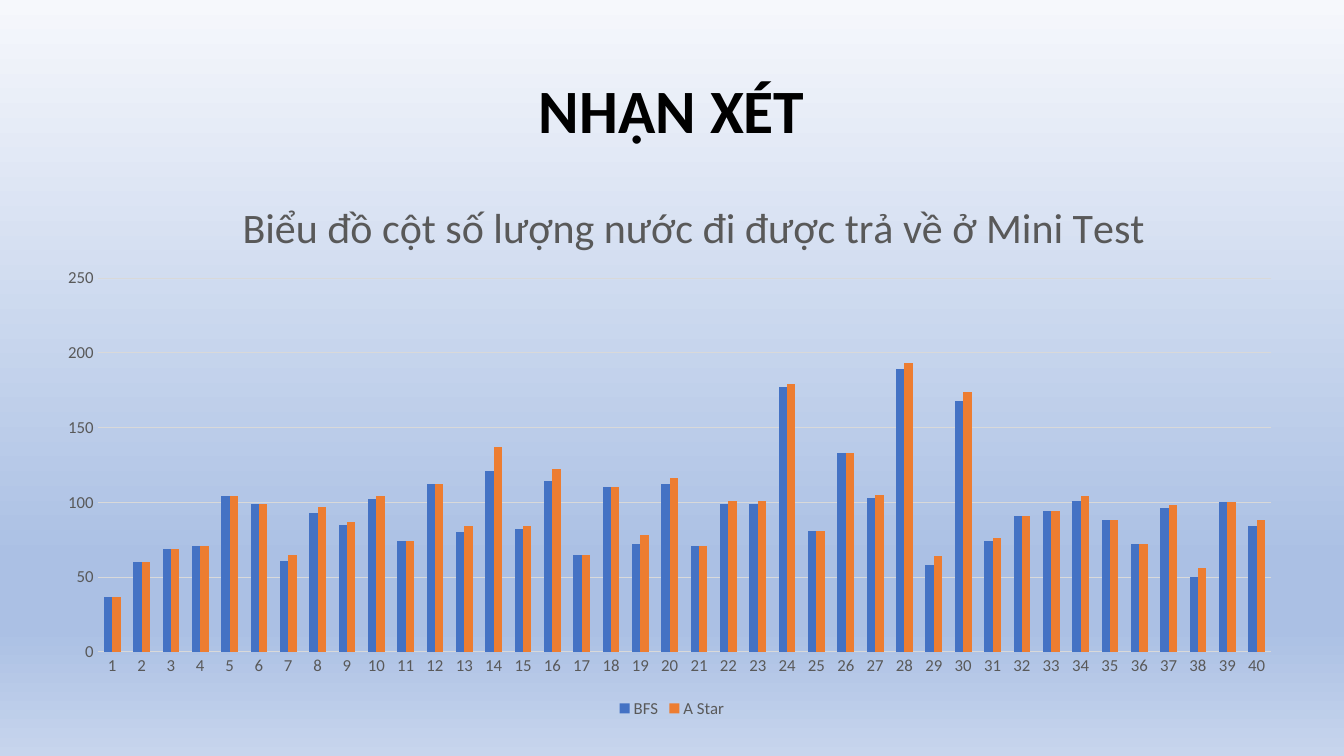
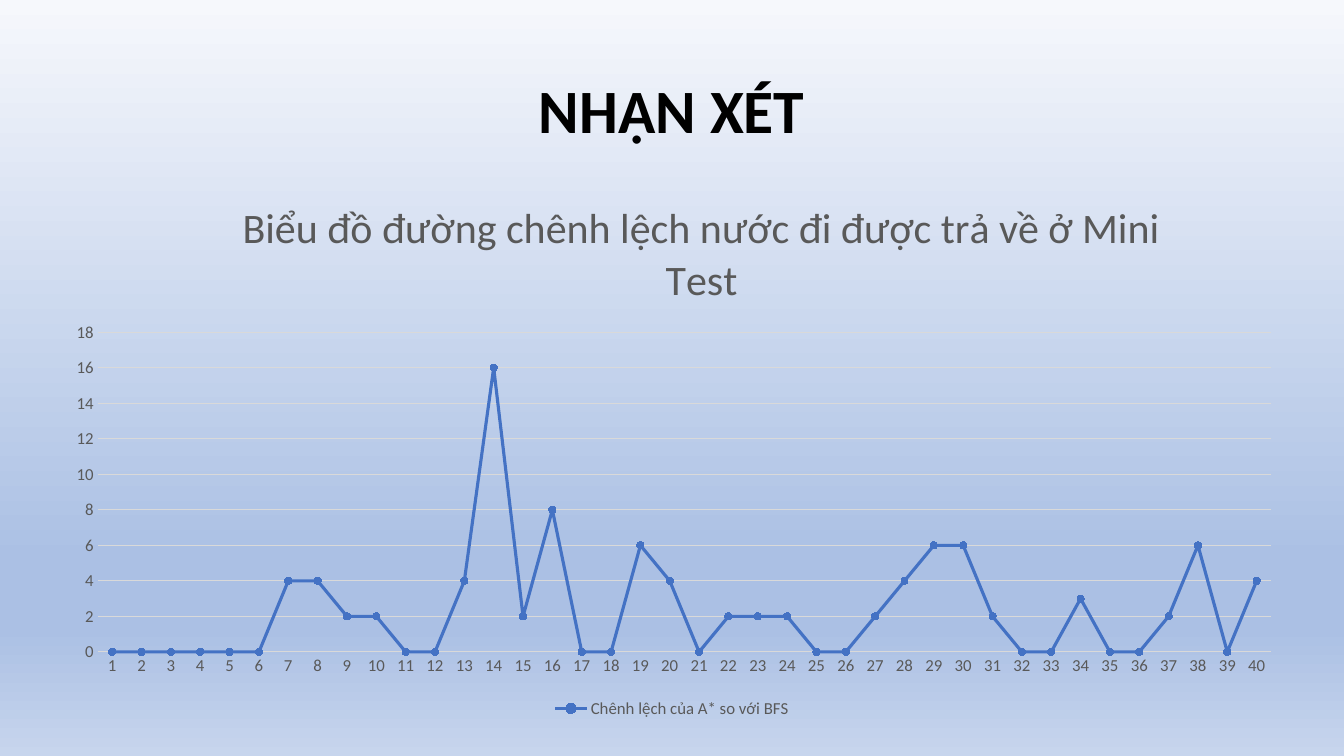
from lxml.etree import SubElement
from pptx import Presentation
from pptx.chart.data import CategoryChartData
from pptx.dml.color import RGBColor
from pptx.enum.chart import XL_CHART_TYPE, XL_LEGEND_POSITION, XL_MARKER_STYLE, XL_TICK_MARK
from pptx.enum.text import MSO_ANCHOR, PP_ALIGN
from pptx.oxml import parse_xml
from pptx.oxml.ns import nsdecls, qn
from pptx.util import Pt

FONT = "Calibri"
BLACK = RGBColor(0x00, 0x00, 0x00)
GRAY = RGBColor(0x59, 0x59, 0x59)
GRID = RGBColor(0xD9, 0xD9, 0xD9)
BLUE = RGBColor(0x44, 0x72, 0xC4)
ORANGE = RGBColor(0xED, 0x7D, 0x31)
BG_STOPS = (
    (0, RGBColor(0xF6, 0xF8, 0xFC)),
    (74, RGBColor(0xAB, 0xC0, 0xE4)),
    (83, RGBColor(0xAB, 0xC0, 0xE4)),
    (100, RGBColor(0xC7, 0xD5, 0xED)),
)

BFS = (37, 60, 69, 71, 104, 99, 61, 93, 85, 102, 74, 112, 80, 121, 82, 114, 65, 110, 72, 112,
       71, 99, 99, 177, 81, 133, 103, 189, 58, 168, 74, 91, 94, 101, 88, 72, 96, 50, 100, 84)
A_STAR = (37, 60, 69, 71, 104, 99, 65, 97, 87, 104, 74, 112, 84, 137, 84, 122, 65, 110, 78, 116,
          71, 101, 101, 179, 81, 133, 105, 193, 64, 174, 76, 91, 94, 104, 88, 72, 98, 56, 100, 88)
GAPS = [a - b for a, b in zip(A_STAR, BFS)]


def style_font(font, size, color, bold=False):
    font.name, font.size, font.bold = FONT, Pt(size), bold
    font.color.rgb = color


def write(tf, text, size=12, color=GRAY, bold=False, align=PP_ALIGN.CENTER, spacing=None):
    tf.text = text
    p = tf.paragraphs[0]
    p.alignment = align
    p.line_spacing = spacing
    style_font(p.runs[0].font, size, color, bold)


def set_layout(parent, index, inner=False, **fractions):
    """Fix a chart part at x, y (and w, h), given as fractions of the chart's size."""
    for old in parent.findall(qn("c:layout")):
        parent.remove(old)
    layout = parse_xml(f"<c:layout {nsdecls('c')}><c:manualLayout/></c:layout>")
    settings = {"layoutTarget": "inner"} if inner else {}
    settings.update(xMode="edge", yMode="edge", **fractions)
    for name, value in settings.items():
        SubElement(layout[0], qn(f"c:{name}")).set("val", str(value))
    parent.insert(index, layout)


class Deck:
    def __init__(self):
        self.prs = Presentation()
        self.prs.slide_width, self.prs.slide_height = Pt(960), Pt(540)
        self.s = None
        self.set_background()

    def set_background(self):
        master = self.prs.slide_master
        fill = master.background.fill
        fill.gradient()
        fill.gradient_angle = 270
        stops = master.element.find(f".//{qn('p:bg')}//{qn('a:gsLst')}")
        for old in list(stops):
            stops.remove(old)
        for percent, color in BG_STOPS:
            stop = SubElement(stops, qn("a:gs"), pos=str(percent * 1000))
            SubElement(stop, qn("a:srgbClr"), val=str(color))

    def add_slide(self, title):
        self.s = self.prs.slides.add_slide(self.prs.slide_layouts[5])
        sp = self.s.shapes.title
        sp.left, sp.top, sp.width, sp.height = Pt(66), Pt(29), Pt(828), Pt(104)
        sp.text_frame.vertical_anchor = MSO_ANCHOR.MIDDLE
        write(sp.text_frame, title, size=44, color=BLACK, bold=True, spacing=0.9)
        for ph in list(self.s.placeholders):
            if ph.shape_id != sp.shape_id:
                ph.element.getparent().remove(ph.element)

    def add_chart(self, kind, title, series, plot_top, top_value, step):
        """Add a chart of (name, values) pairs, with its plot starting at plot_top."""
        data = CategoryChartData()
        data.categories = [str(n + 1) for n in range(len(BFS))]
        for name, values in series:
            data.add_series(name, values)
        chart = self.s.shapes.add_chart(kind, Pt(34), Pt(129), Pt(892), Pt(387), data).chart
        style_font(chart.font, 12, GRAY)

        chart.has_title = True
        write(chart.chart_title.text_frame, title, size=30)
        set_layout(chart.chart_title._element, 1, x=0.15, y=0.02)
        set_layout(chart._chartSpace.chart.plotArea, 0, inner=True,
                   x=0.04, y=plot_top, w=0.94, h=round(0.87 - plot_top, 2))

        chart.has_legend = True
        chart.legend.position = XL_LEGEND_POSITION.BOTTOM
        chart.legend.include_in_layout = False
        style_font(chart.legend.font, 12, GRAY)
        self.style_axes(chart, top_value, step)
        chart.plots[0].vary_by_categories = False
        return chart

    def style_axes(self, chart, top_value, step):
        cat, val = chart.category_axis, chart.value_axis
        for axis in (cat, val):
            axis.major_tick_mark = axis.minor_tick_mark = XL_TICK_MARK.NONE
            style_font(axis.tick_labels.font, 12, GRAY)
        val.minimum_scale, val.maximum_scale, val.major_unit = 0, top_value, step
        val.has_major_gridlines = True
        val.format.line.fill.background()
        for line in (cat.format.line, val.major_gridlines.format.line):
            line.color.rgb, line.width = GRID, Pt(0.75)

    def add_columns(self, title, series, colors, **scale):
        chart = self.add_chart(XL_CHART_TYPE.COLUMN_CLUSTERED, title, series, **scale)
        plot = chart.plots[0]
        plot.gap_width, plot.overlap = 150, 0
        for ser, color in zip(plot.series, colors):
            ser.format.fill.solid()
            ser.format.fill.fore_color.rgb = color

    def add_lines(self, title, series, colors, **scale):
        chart = self.add_chart(XL_CHART_TYPE.LINE_MARKERS, title, series, **scale)
        for ser, color in zip(chart.plots[0].series, colors):
            ser.smooth = False
            ser.format.line.color.rgb, ser.format.line.width = color, Pt(2.25)
            marker = ser.marker
            marker.style, marker.size = XL_MARKER_STYLE.CIRCLE, 5
            marker.format.fill.solid()
            marker.format.fill.fore_color.rgb = color
            marker.format.line.color.rgb = color


def main():
    deck = Deck()
    heading = "NHẬN XÉT"

    deck.add_slide(heading)
    deck.add_columns("Biểu đồ cột số lượng nước đi được trả về ở Mini Test",
                     [("BFS", BFS), ("A Star", A_STAR)], [BLUE, ORANGE],
                     plot_top=0.18, top_value=250, step=50)

    deck.add_slide(heading)
    deck.add_lines("Biểu đồ đường chênh lệch nước đi được trả về ở Mini Test",
                   [("Chênh lệch của A* so với BFS", GAPS)], [BLUE],
                   plot_top=0.28, top_value=18, step=2)

    deck.prs.save("out.pptx")


if __name__ == "__main__":
    main()
